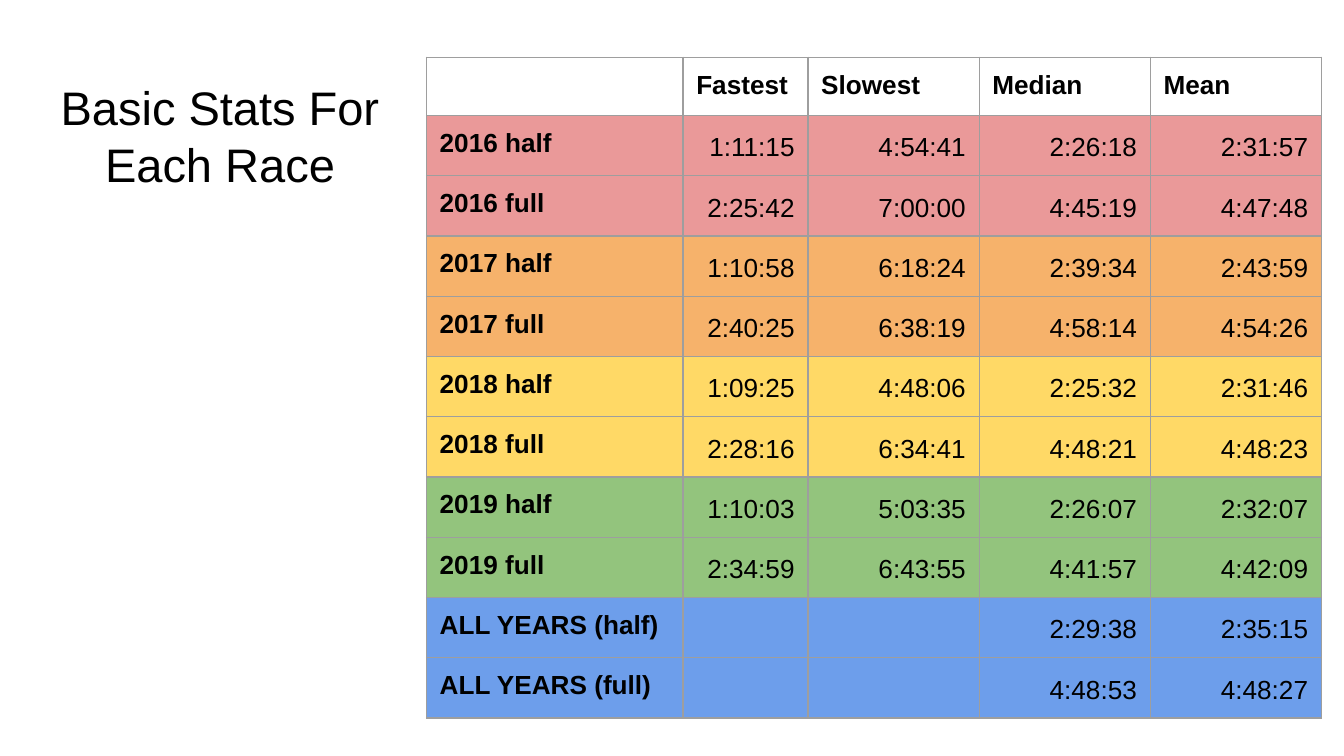
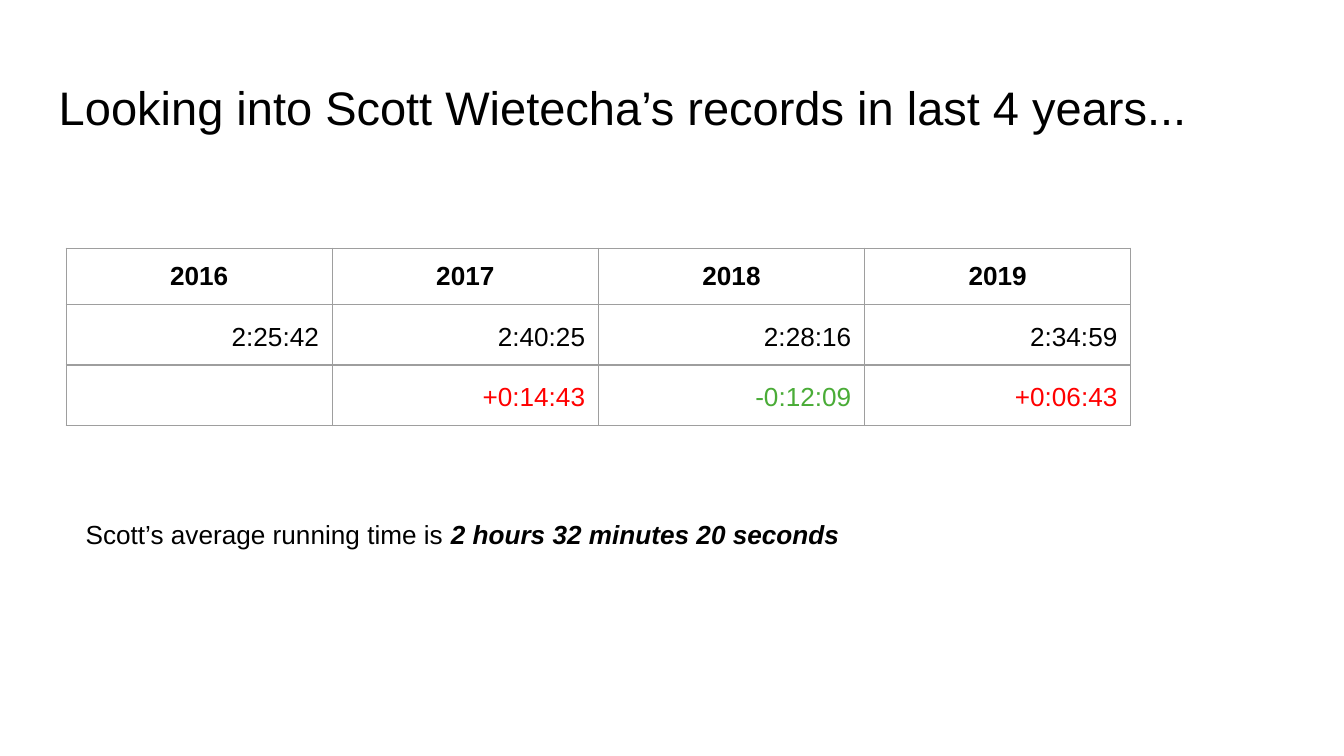
"""Build two slides on race statistics and one runner's yearly records."""
import dataclasses
import typing

import lxml.etree
import pptx
import pptx.dml.color
import pptx.enum.text
import pptx.oxml.ns
import pptx.util

Cm = pptx.util.Cm
Pt = pptx.util.Pt
Align = pptx.enum.text.PP_ALIGN
qn = pptx.oxml.ns.qn

FONT = "Arial"
TITLE_SIZE = 25.2
BODY_SIZE = 14
PADDING = 0.25
HEADER_HEIGHT = 1.07
ROW_HEIGHT = 1.14
COLOURS = {
    "text": "000000",
    "border": "9E9E9E",
    "red": "EA9999",
    "orange": "F6B26B",
    "yellow": "FFD966",
    "green": "93C47D",
    "blue": "6D9EEB",
    "slower": "FF0000",
    "faster": "4AAC37",
}


@dataclasses.dataclass
class Area:
    left: float
    top: float
    width: float
    height: float

    def lengths(self) -> tuple:
        return Cm(self.left), Cm(self.top), Cm(self.width), Cm(self.height)


@dataclasses.dataclass
class Entry:
    text: str
    align: typing.Any = Align.RIGHT
    bold: bool = False
    colour: str = "text"
    spacing: float | None = 1.15


@dataclasses.dataclass
class Row:
    entries: list[Entry]
    fill: str | None = None
    height: float = ROW_HEIGHT


RACES = [
    ("2016 half", "red", "1:11:15", "4:54:41", "2:26:18", "2:31:57"),
    ("2016 full", "red", "2:25:42", "7:00:00", "4:45:19", "4:47:48"),
    ("2017 half", "orange", "1:10:58", "6:18:24", "2:39:34", "2:43:59"),
    ("2017 full", "orange", "2:40:25", "6:38:19", "4:58:14", "4:54:26"),
    ("2018 half", "yellow", "1:09:25", "4:48:06", "2:25:32", "2:31:46"),
    ("2018 full", "yellow", "2:28:16", "6:34:41", "4:48:21", "4:48:23"),
    ("2019 half", "green", "1:10:03", "5:03:35", "2:26:07", "2:32:07"),
    ("2019 full", "green", "2:34:59", "6:43:55", "4:41:57", "4:42:09"),
    ("ALL YEARS (half)", "blue", "", "", "2:29:38", "2:35:15"),
    ("ALL YEARS (full)", "blue", "", "", "4:48:53", "4:48:27"),
]


def heading(text: str, align: typing.Any = Align.LEFT) -> Entry:
    return Entry(text, align, bold=True, spacing=None)


def change(text: str) -> Entry:
    return Entry(text, colour="faster" if text.startswith("-") else "slower")


def add_text(para: typing.Any, text: str, *, size: float = BODY_SIZE,
             bold: bool = False, italic: bool = False, colour: str = "text") -> None:
    span = para.add_run()
    span.text = text
    span.font.name = FONT
    span.font.size = Pt(size)
    span.font.bold = bold
    span.font.italic = italic
    span.font.color.rgb = pptx.dml.color.RGBColor.from_string(COLOURS[colour])


def set_padding(holder: typing.Any) -> None:
    holder.margin_left = holder.margin_right = Cm(PADDING)
    holder.margin_top = holder.margin_bottom = Cm(PADDING)
    holder.vertical_anchor = pptx.enum.text.MSO_ANCHOR.TOP


def add_page(deck: typing.Any, title: str, area: Area, align: typing.Any) -> typing.Any:
    page = deck.slides.add_slide(deck.slide_layouts[5])
    box = page.shapes.title
    box.left, box.top, box.width, box.height = area.lengths()
    frame = box.text_frame
    frame.auto_size = pptx.enum.text.MSO_AUTO_SIZE.NONE
    frame.word_wrap = True
    set_padding(frame)
    para = frame.paragraphs[0]
    para.alignment = align
    add_text(para, title, size=TITLE_SIZE)
    return page


def set_borders(cell: typing.Any) -> None:
    properties = cell._tc.get_or_add_tcPr()
    for index, side in enumerate(("lnL", "lnR", "lnT", "lnB")):
        line = lxml.etree.Element(qn(f"a:{side}"), w=str(Pt(0.75)))
        fill = lxml.etree.SubElement(line, qn("a:solidFill"))
        lxml.etree.SubElement(fill, qn("a:srgbClr"), val=COLOURS["border"])
        properties.insert(index, line)


def fill_cell(cell: typing.Any, entry: Entry, fill: str | None) -> None:
    set_padding(cell)
    if fill:
        cell.fill.solid()
        cell.fill.fore_color.rgb = pptx.dml.color.RGBColor.from_string(COLOURS[fill])
    else:
        cell.fill.background()
    set_borders(cell)
    para = cell.text_frame.paragraphs[0]
    if entry.text:
        para.alignment = entry.align
        para.line_spacing = entry.spacing
        add_text(para, entry.text, bold=entry.bold, colour=entry.colour)
    else:
        lxml.etree.SubElement(para._p, qn("a:endParaRPr"), sz=str(BODY_SIZE * 100))


def add_grid(page: typing.Any, left: float, top: float,
             widths: list[float], rows: list[Row]) -> None:
    area = Area(left, top, sum(widths), sum(row.height for row in rows))
    table = page.shapes.add_table(len(rows), len(widths), *area.lengths()).table
    table.first_row = table.horz_banding = False
    for column, width in zip(table.columns, widths):
        column.width = Cm(width)
    for row_index, row in enumerate(rows):
        table.rows[row_index].height = Cm(row.height)
        for column_index, entry in enumerate(row.entries):
            fill_cell(table.cell(row_index, column_index), entry, row.fill)


def add_stats_page(deck: typing.Any) -> None:
    page = add_page(deck, "Basic Stats For Each Race",
                    Area(0.86, 1.24, 6.6, 3.89), Align.CENTER)
    labels = ("", "Fastest", "Slowest", "Median", "Mean")
    rows = [Row([heading(label) for label in labels], height=HEADER_HEIGHT)]
    for race, fill, *times in RACES:
        rows.append(Row([heading(race)] + [Entry(time) for time in times], fill))
    add_grid(page, 8.06, 1.08, [4.85, 2.36] + [3.235] * 3, rows)


def add_records_page(deck: typing.Any) -> None:
    page = add_page(deck, "Looking into Scott Wietecha’s records in last 4 years...",
                    Area(0.86, 1.24, 23.67, 1.6), Align.LEFT)
    years = ("2016", "2017", "2018", "2019")
    times = ("2:25:42", "2:40:25", "2:28:16", "2:34:59")
    changes = ("", "+0:14:43", "-0:12:09", "+0:06:43")
    add_grid(page, 1.25, 4.69, [5.03] * len(years), [
        Row([heading(year, Align.CENTER) for year in years], height=HEADER_HEIGHT),
        Row([Entry(time) for time in times]),
        Row([change(text) for text in changes]),
    ])
    frame = page.shapes.add_textbox(*Area(1.37, 9.55, 17.55, 1.12).lengths()).text_frame
    frame.word_wrap = True
    frame.auto_size = pptx.enum.text.MSO_AUTO_SIZE.SHAPE_TO_FIT_TEXT
    set_padding(frame)
    para = frame.paragraphs[0]
    add_text(para, "Scott’s average running time is ")
    add_text(para, "2 hours 32 minutes 20 seconds", bold=True, italic=True)


def main() -> None:
    deck = pptx.Presentation()
    deck.slide_width, deck.slide_height = Cm(25.4), Cm(14.29)
    add_stats_page(deck)
    add_records_page(deck)
    deck.save("out.pptx")


if __name__ == "__main__":
    main()
